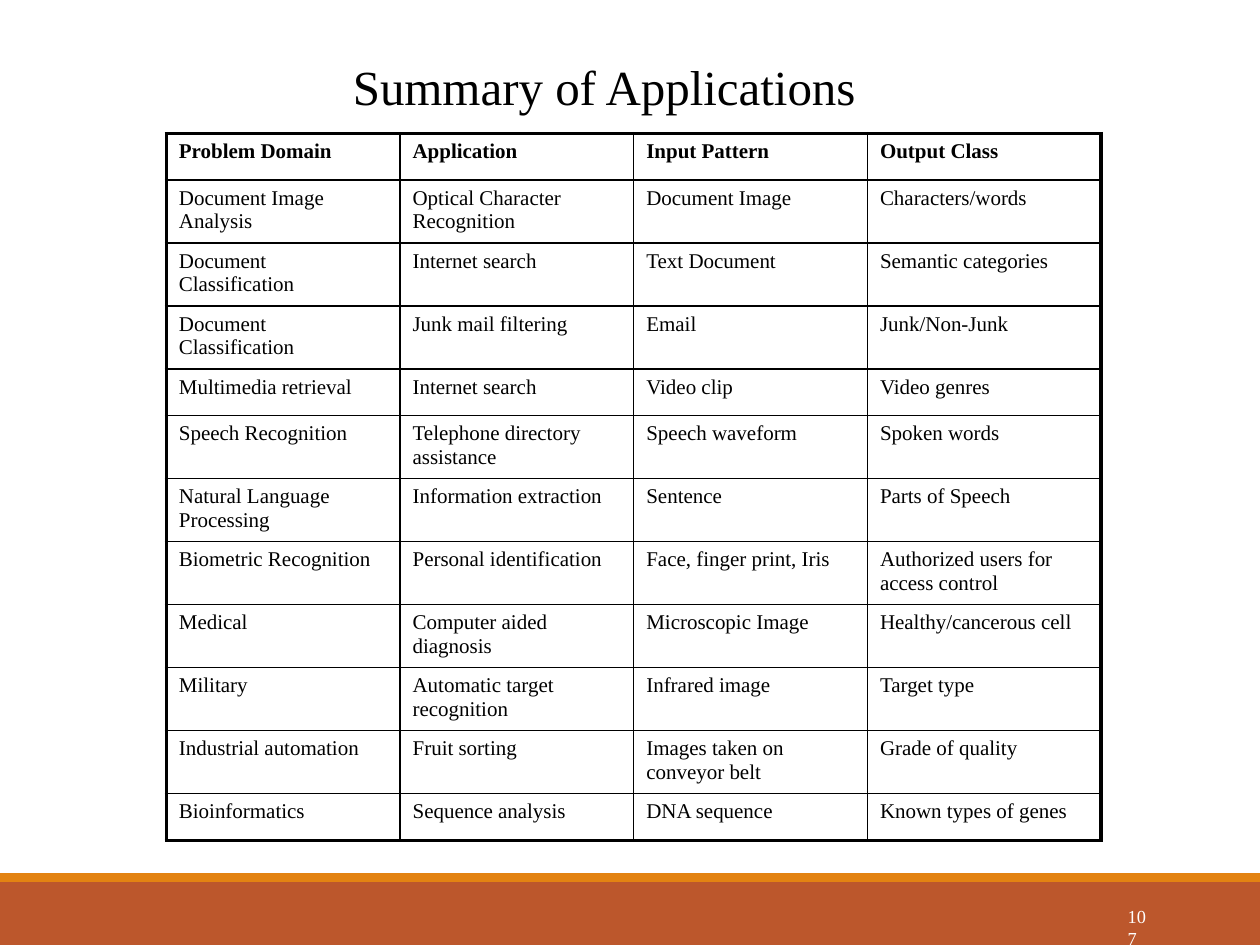
from lxml import etree
from pptx import Presentation
from pptx.dml.color import RGBColor
from pptx.enum.shapes import MSO_SHAPE
from pptx.oxml.ns import qn
from pptx.util import Inches, Pt

RECTANGLE = MSO_SHAPE.RECTANGLE
FONT = "Times New Roman"
COLORS = {"ink": "000000", "paper": "FFFFFF", "band": "BC572C", "stripe": "E38312"}
THIN, THICK = Pt(1), Pt(2.25)
SHORT_ROW, TALL_ROW = 0.37, 0.5
APPLICATIONS = [
    ("Problem Domain", "Application", "Input Pattern", "Output Class"),
    ("Document Image\vAnalysis", "Optical Character\vRecognition",
     "Document Image", "Characters/words"),
    ("Document\vClassification", "Internet search", "Text Document", "Semantic categories"),
    ("Document\vClassification", "Junk mail filtering", "Email", "Junk/Non-Junk"),
    ("Multimedia retrieval", "Internet search", "Video clip", "Video genres"),
    ("Speech Recognition", "Telephone directory\nassistance",
     "Speech waveform", "Spoken words"),
    ("Natural Language\vProcessing", "Information extraction", "Sentence", "Parts of Speech"),
    ("Biometric Recognition", "Personal identification",
     "Face, finger print, Iris", "Authorized users for\vaccess control"),
    ("Medical", "Computer aided\ndiagnosis", "Microscopic Image", "Healthy/cancerous cell"),
    ("Military", "Automatic target\vrecognition", "Infrared image", "Target type"),
    ("Industrial automation", "Fruit sorting",
     "Images taken on\vconveyor belt", "Grade of quality"),
    ("Bioinformatics", "Sequence analysis", "DNA sequence", "Known types of genes"),
]


def color(name):
    """Return the named colour."""
    return RGBColor.from_string(COLORS[name])


def style(para, size, ink="ink", bold=False):
    """Set the font of a whole paragraph."""
    para.font.name = FONT
    para.font.size = Pt(size)
    para.font.bold = bold
    para.font.color.rgb = color(ink)


def add_text(page, text, left, top, width, height, size, ink="ink", wrap=False):
    """Add a text box without insets and return its paragraph."""
    box = page.shapes.add_textbox(Inches(left), Inches(top), Inches(width), Inches(height))
    frame = box.text_frame
    frame.margin_left = frame.margin_right = frame.margin_top = frame.margin_bottom = 0
    frame.word_wrap = wrap
    frame.text = text
    para = frame.paragraphs[0]
    style(para, size, ink)
    return para


def add_bar(page, left, top, width, height, fill):
    """Add a plain filled bar."""
    bar = page.shapes.add_shape(
        RECTANGLE, Inches(left), Inches(top), Inches(width), Inches(height))
    bar.shadow.inherit = False
    bar.fill.solid()
    bar.fill.fore_color.rgb = color(fill)
    bar.line.fill.background()


def add_footer(page, left, top, width, height, number):
    """Add the footer band with its stripe and page number."""
    stripe = 0.07
    add_bar(page, left, top + stripe, width, height - stripe, "band")
    add_bar(page, left, top, width, stripe, "stripe")
    para = add_text(page, number, left + width - 1.05, top + 0.25, 0.19, 0.19,
                    10.5, "paper", wrap=True)
    para.line_spacing = Pt(12.6)


def set_borders(cell, widths):
    """Draw the left, right, top and bottom borders of a cell."""
    properties = cell._tc.get_or_add_tcPr()
    for index, (side, width) in enumerate(zip("LRTB", widths)):
        line = etree.Element(qn(f"a:ln{side}"), w=str(width))
        fill = etree.SubElement(line, qn("a:solidFill"))
        etree.SubElement(fill, qn("a:srgbClr"), val=COLORS["ink"])
        properties.insert(index, line)


def fill_cell(cell, text, bold):
    """Write and style one cell."""
    cell.margin_left, cell.margin_top = Inches(0.1), Inches(0.05)
    cell.margin_right = cell.margin_bottom = 0
    cell.fill.solid()
    cell.fill.fore_color.rgb = color("paper")
    cell.text_frame.text = text
    for para in cell.text_frame.paragraphs:
        style(para, 12, bold=bold)


def add_summary_table(page, left, top, width, records):
    """Add the table with a thick frame and thin inner rules."""
    heights = [TALL_ROW if any("\v" in text or "\n" in text for text in record)
               else SHORT_ROW for record in records]
    row_count, column_count = len(records), len(records[0])
    table = page.shapes.add_table(
        row_count, column_count, Inches(left), Inches(top),
        Inches(width), Inches(sum(heights))).table
    table.first_row = table.horz_banding = False
    for column in table.columns:
        column.width = Inches(width / column_count)
    for row, (record, height) in enumerate(zip(records, heights)):
        table.rows[row].height = Inches(height)
        for column, text in enumerate(record):
            cell = table.cell(row, column)
            fill_cell(cell, text, bold=row == 0)
            outer = (column == 0, column == column_count - 1,
                     row == 0, row == row_count - 1)
            set_borders(cell, [THICK if edge else THIN for edge in outer])


def main():
    """Build the slide and save it."""
    deck = Presentation()
    deck.slide_width, deck.slide_height = Inches(10), Inches(7.5)
    page = deck.slides.add_slide(deck.slide_layouts[6])
    add_footer(page, 0, 6.93, 10, 0.57, "107")
    add_summary_table(page, 1.32, 1.06, 7.42, APPLICATIONS)
    add_text(page, "Summary of Applications", 2.8, 0.45, 4.02, 0.49, 28)
    deck.save("out.pptx")


if __name__ == "__main__":
    main()
